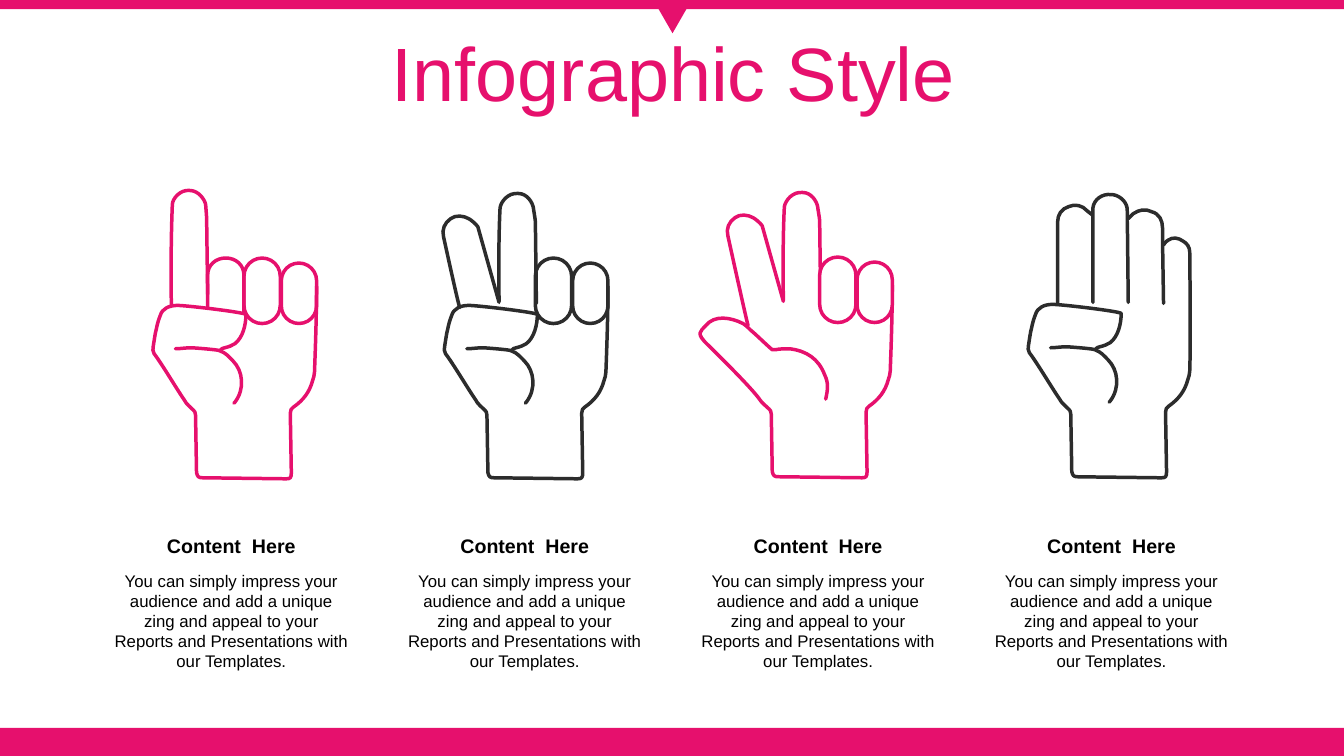
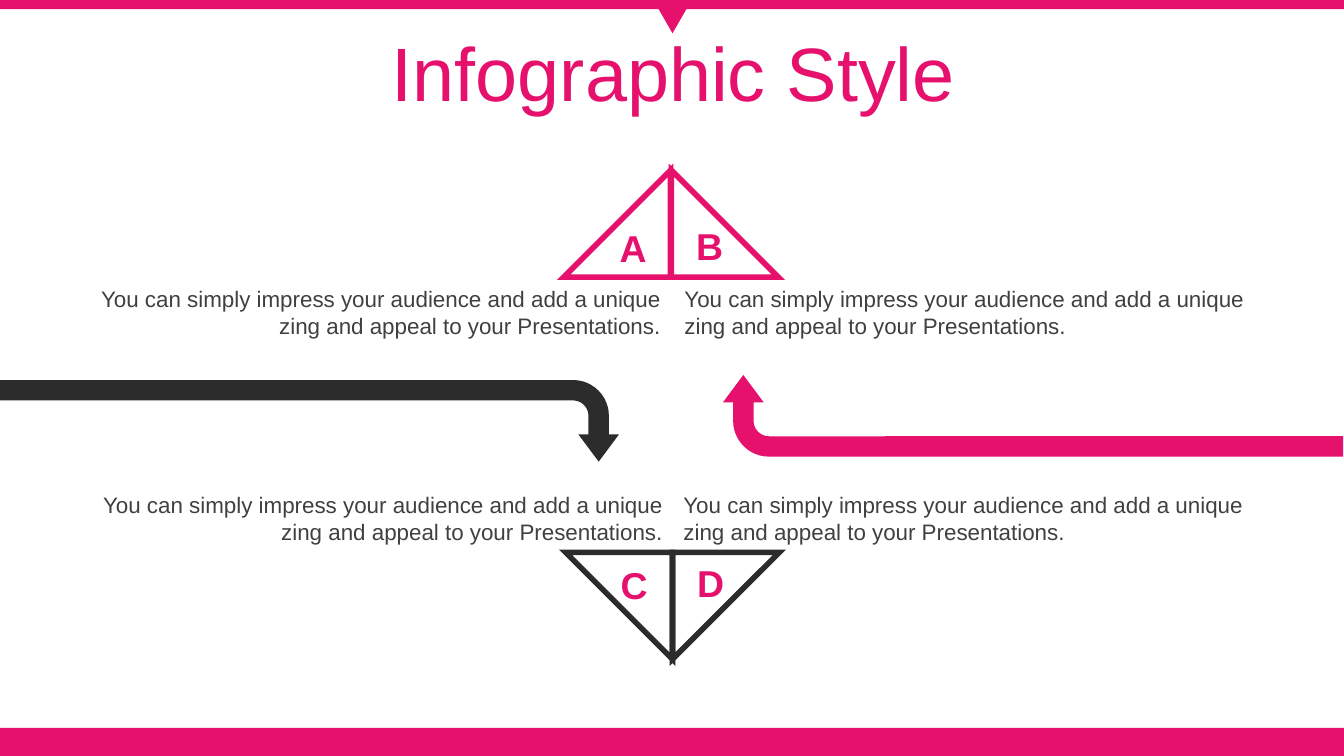
import pptx
import pptx.util
import pptx.dml.color
import pptx.enum.shapes
import pptx.enum.text
import pptx.oxml.ns
from lxml import etree

Inches = pptx.util.Inches
SHAPE = pptx.enum.shapes.MSO_SHAPE
ALIGN = pptx.enum.text.PP_ALIGN
ANCHOR = pptx.enum.text.MSO_ANCHOR
qn = pptx.oxml.ns.qn

COLORS = {"pink": "E6106D", "dark": "2C2C2C", "white": "FFFFFF",
          "black": "000000", "gray": "404040"}
FONT = "Arial"
WIDTH, HEIGHT = 13.33, 7.5
TITLE = "Infographic Style"
HEADING = "Content  Here"
HAND_TEXT = ("You can simply impress your audience and add a unique zing and "
             "appeal to your Reports and Presentations with our Templates.")
CORNER_TEXT = ("You can simply impress your audience and add a unique zing and "
               "appeal to your Presentations.")

# Strokes are in inches, in the frame of the first hand: a start point, then
# line ends (x, y) or cubic curves (x1, y1, x2, y2, x, y).
WRIST = [
    (1.84, 4, 1.9, 4.05, 1.92, 4.07), (1.93, 4.07, 1.94, 4.1, 1.94, 4.12),
    (1.95, 4.69), (1.96, 4.73, 1.97, 4.74, 2.01, 4.74),
    (2.84, 4.75), (2.88, 4.75, 2.89, 4.74, 2.89, 4.69),
    (2.88, 4.1), (2.88, 4.07, 2.89, 4.05, 2.91, 4.04),
    (3.01, 3.97, 3.07, 3.89, 3.1, 3.78), (3.11, 3.75, 3.12, 3.72, 3.12, 3.69),
]
FOLDED_THUMB = [
    (2.18, 3.48), (2.2, 3.46, 2.21, 3.45, 2.23, 3.45),
    (2.27, 3.44, 2.3, 3.43, 2.33, 3.41), (2.41, 3.35, 2.44, 3.22, 2.44, 3.12),
    (2.44, 3.1, 1.85, 3.03, 1.76, 3.03), (1.68, 3.03, 1.61, 3.06, 1.59, 3.13),
    (1.57, 3.18, 1.56, 3.22, 1.55, 3.27), (1.54, 3.3, 1.53, 3.38, 1.52, 3.44),
    (1.51, 3.46, 1.52, 3.49, 1.53, 3.51), (1.6, 3.6, 1.76, 3.87, 1.83, 3.97),
]
OPEN_THUMB = [
    (2.48, 3.97), (2.5, 3.88, 2.51, 3.81, 2.47, 3.73),
    (2.41, 3.57, 2.29, 3.49, 2.12, 3.47), (2.08, 3.47, 2.02, 3.47, 1.98, 3.48),
    (1.95, 3.48), (1.89, 3.43, 1.78, 3.32, 1.74, 3.29),
    (1.7, 3.25, 1.68, 3.23, 1.66, 3.22), (1.54, 3.16, 1.38, 3.13, 1.29, 3.24),
    (1.24, 3.3, 1.18, 3.31, 1.32, 3.44), (1.35, 3.47, 1.75, 3.86, 1.83, 3.98),
]
PALM_SIDE = [(3.13, 3.42, 3.14, 3.14, 3.14, 2.84)]
LITTLE_FINGER = [
    (3.13, 3.42, 3.12, 2.51, 3.12, 2.51), (3.12, 2.46, 3.09, 2.42, 3.05, 2.4),
    (3.01, 2.37, 2.95, 2.36, 2.91, 2.39), (2.89, 2.4, 2.88, 2.41, 2.86, 2.44),
]
FIST = FOLDED_THUMB + WRIST + PALM_SIDE
OPEN_PALM = OPEN_THUMB + WRIST + PALM_SIDE
FLAT_PALM = FOLDED_THUMB + WRIST + LITTLE_FINGER
CREASE = [
    (1.74, 3.46), (1.79, 3.46, 1.84, 3.45, 1.9, 3.45),
    (1.91, 3.45, 2.18, 3.47, 2.18, 3.48), (2.24, 3.5, 2.27, 3.54, 2.31, 3.58),
    (2.41, 3.68, 2.43, 3.86, 2.33, 3.99), (2.32, 4),
]
POINTING = [
    (2.06, 2.92), (2.06, 2.92, 2.05, 2.2, 2.05, 2.17),
    (2.05, 2.15, 2.04, 2.04, 2.04, 2.03), (2.03, 1.98, 1.97, 1.89, 1.88, 1.89),
    (1.79, 1.88, 1.71, 1.97, 1.71, 2.03), (1.71, 2.03, 1.69, 2.43, 1.7, 3.04),
]
KNUCKLE = [
    (2.06, 3.05), (2.06, 2.73), (2.06, 2.63, 2.14, 2.56, 2.24, 2.56),
    (2.34, 2.56, 2.42, 2.63, 2.42, 2.73), (2.42, 3.1),
]
MIDDLE = [
    (2.43, 3.01), (2.43, 3, 2.42, 2.22, 2.42, 2.2),
    (2.42, 2.18, 2.4, 2.07, 2.4, 2.06), (2.39, 2.01, 2.34, 1.92, 2.25, 1.92),
    (2.15, 1.91, 2.08, 2, 2.07, 2.06), (2.07, 2.06, 2.05, 2.38, 2.06, 2.99),
]
SPREAD_INDEX = [
    (2.06, 3), (1.85, 2.25), (1.83, 2.22, 1.78, 2.18, 1.76, 2.17),
    (1.71, 2.14, 1.63, 2.13, 1.58, 2.17), (1.52, 2.21, 1.49, 2.28, 1.51, 2.35),
]
SHORT_INDEX = SPREAD_INDEX + [(1.58, 2.67, 1.66, 3.03, 1.67, 3.05)]
LONG_INDEX = SPREAD_INDEX + [(1.58, 2.67, 1.7, 3.21, 1.71, 3.24)]
FLAT_INDEX = [
    (2.15, 2.14), (2.1, 2.1),
    (2.06, 2.05, 1.98, 2.03, 1.92, 2.06), (1.85, 2.08, 1.81, 2.14, 1.81, 2.21),
    (1.81, 3.03),
]
FLAT_MIDDLE = [
    (2.51, 3.01), (2.5, 2.08),
    (2.49, 2, 2.41, 1.94, 2.34, 1.94), (2.25, 1.93, 2.17, 1.99, 2.16, 2.07),
    (2.16, 3.01),
]
FLAT_RING = [
    (2.51, 2.18), (2.56, 2.13),
    (2.62, 2.09, 2.68, 2.08, 2.74, 2.11), (2.82, 2.13, 2.85, 2.2, 2.85, 2.27),
    (2.85, 2.38), (2.86, 3.02),
]
FOLDED_FINGERS = [(2.42, 2.56, 0.36, 0.65), (2.79, 2.61, 0.35, 0.6)]

# x and y shift, line colour, fill colour, strokes, folded fingers
HANDS = [
    (0, 0, "pink", None, [POINTING, KNUCKLE, CREASE, FIST], FOLDED_FINGERS),
    (2.89, 0, "dark", None, [MIDDLE, SHORT_INDEX, CREASE, FIST], FOLDED_FINGERS),
    (5.71, -0.01, "pink", "white", [MIDDLE, OPEN_PALM, LONG_INDEX], FOLDED_FINGERS),
    (8.68, -0.01, "dark", "white",
     [FLAT_PALM, FLAT_INDEX, FLAT_MIDDLE, FLAT_RING, CREASE], []),
]


def rgb(name):
    return pptx.dml.color.RGBColor.from_string(COLORS[name])


def style(sp, fill=None, line=None, width=2.5, join="round"):
    sp.shadow.inherit = False
    if fill:
        sp.fill.solid()
        sp.fill.fore_color.rgb = rgb(fill)
    else:
        sp.fill.background()
    if not line:
        sp.line.fill.background()
        return
    sp.line.color.rgb = rgb(line)
    sp.line.width = pptx.util.Pt(width)
    ln = sp.element.spPr.find(qn("a:ln"))
    if join == "round":
        ln.set("cap", "rnd")
    etree.SubElement(ln, qn(f"a:{join}"))


def add_preset(shapes, kind, x, y, w, h, rotation=0, adjustments=(), **look):
    sp = shapes.add_shape(kind, Inches(x), Inches(y), Inches(w), Inches(h))
    sp.rotation = rotation
    for i, value in enumerate(adjustments):
        sp.adjustments[i] = value
    style(sp, **look)
    return sp


def write(tf, text, size=12, color="black", bold=False, align=ALIGN.LEFT,
          anchor=ANCHOR.TOP, line_spacing=None):
    tf.word_wrap = True
    tf.vertical_anchor = anchor
    p = tf.paragraphs[0]
    p.alignment = align
    p.line_spacing = line_spacing
    r = p.add_run()
    r.text = text
    r.font.name = FONT
    r.font.size = pptx.util.Pt(size)
    r.font.bold = bold
    r.font.color.rgb = rgb(color)


def add_text(s, x, y, w, h, text, **form):
    box = s.shapes.add_textbox(Inches(x), Inches(y), Inches(w), Inches(h))
    write(box.text_frame, text, **form)


def add_stroke(shapes, stroke, dx, dy, fill, line):
    """Build an open outline, then join the points of each curve into a cubic."""
    points = [(Inches(x + dx), Inches(y + dy))
              for seg in stroke for x, y in zip(seg[::2], seg[1::2])]
    builder = shapes.build_freeform(*points[0])
    builder.add_line_segments(points[1:], close=False)
    sp = builder.convert_to_shape()
    style(sp, fill, line)
    steps = iter(list(sp.element.iter(qn("a:lnTo"))))
    for seg in stroke[1:]:
        first = next(steps)
        if len(seg) == 6:
            first.tag = qn("a:cubicBezTo")
            for step in (next(steps), next(steps)):
                first.append(step[0])
                step.getparent().remove(step)


def add_hand(s, dx, dy, line, fill, strokes, fingers):
    shapes = s.shapes.add_group_shape().shapes
    for stroke in strokes:
        add_stroke(shapes, stroke, dx, dy, fill, line)
    for x, y, w, h in fingers:
        add_preset(shapes, SHAPE.ROUNDED_RECTANGLE, x + dx, y + dy, w, h,
                   adjustments=[0.5], fill=fill, line=line)


def set_up_layout(prs):
    """Set the title place on the title-only layout."""
    layout = prs.slide_layouts[5]
    title = layout.placeholders[0]
    title.left, title.top = Inches(0.35), Inches(0.37)
    title.width, title.height = Inches(12.66), Inches(0.79)
    return layout


def add_bands(s):
    """Draw the bands through a slide, then move them to its layout."""
    bands = [
        add_preset(s.shapes, SHAPE.RECTANGLE, 0, 7.22, WIDTH, 0.28, fill="pink"),
        add_preset(s.shapes, SHAPE.RECTANGLE, 0, 0, WIDTH, 0.09, fill="pink"),
        add_preset(s.shapes, SHAPE.ISOSCELES_TRIANGLE, 6.48, 0, 0.38, 0.33,
                   rotation=180, fill="pink"),
    ]
    for sp in bands:
        s.slide_layout.shapes.element.append(sp.element)


def add_slide(prs, layout):
    s = prs.slides.add_slide(layout)
    write(s.shapes.title.text_frame, TITLE, size=54, color="pink",
          align=ALIGN.CENTER, anchor=ANCHOR.MIDDLE, line_spacing=0.9)
    return s


def fill_hands_slide(s):
    for i, hand in enumerate(HANDS):
        add_hand(s, *hand)
        x = 1.03 + 2.91 * i
        add_text(s, x, 5.61, 2.53, 1.12, HAND_TEXT, align=ALIGN.CENTER)
        add_text(s, x, 5.24, 2.53, 0.34, HEADING, size=14, bold=True,
                 align=ALIGN.CENTER, anchor=ANCHOR.MIDDLE)


def fill_corners_slide(s):
    triangles = [(5.59, 1.69, 270, "pink"), (6.66, 1.69, 0, "pink"),
                 (5.61, 5.48, 180, "dark"), (6.67, 5.48, 90, "dark")]
    for x, y, rotation, line in triangles:
        add_preset(s.shapes, SHAPE.RIGHT_TRIANGLE, x, y, 1.06, 1.06,
                   rotation=rotation, line=line, width=4, join="miter")
    for x, y, align in [(0.77, 2.78, ALIGN.RIGHT), (6.69, 2.78, ALIGN.LEFT),
                        (0.79, 4.82, ALIGN.RIGHT), (6.68, 4.82, ALIGN.LEFT)]:
        add_text(s, x, y, 5.88, 0.64, CORNER_TEXT, size=16, color="gray", align=align)
    for x, y, rotation, fill in [(2.66, 1.1, 90, "dark"), (9.84, 1.05, 270, "pink")]:
        add_preset(s.shapes, SHAPE.BENT_ARROW, x, y, 0.81, 6.15, rotation=rotation,
                   adjustments=[0.25, 0.25, 0.335, 0.438], fill=fill)
    for letter, x, y in [("A", 5.9, 2.18), ("B", 6.66, 2.16),
                         ("C", 5.91, 5.53), ("D", 6.67, 5.51)]:
        add_text(s, x, y, 0.76, 0.55, letter, size=26.7, color="pink", bold=True,
                 align=ALIGN.CENTER)


def main():
    prs = pptx.Presentation()
    prs.slide_width, prs.slide_height = Inches(WIDTH), Inches(HEIGHT)
    layout = set_up_layout(prs)
    hands = add_slide(prs, layout)
    add_bands(hands)
    fill_hands_slide(hands)
    fill_corners_slide(add_slide(prs, layout))
    prs.save("out.pptx")


if __name__ == "__main__":
    main()
